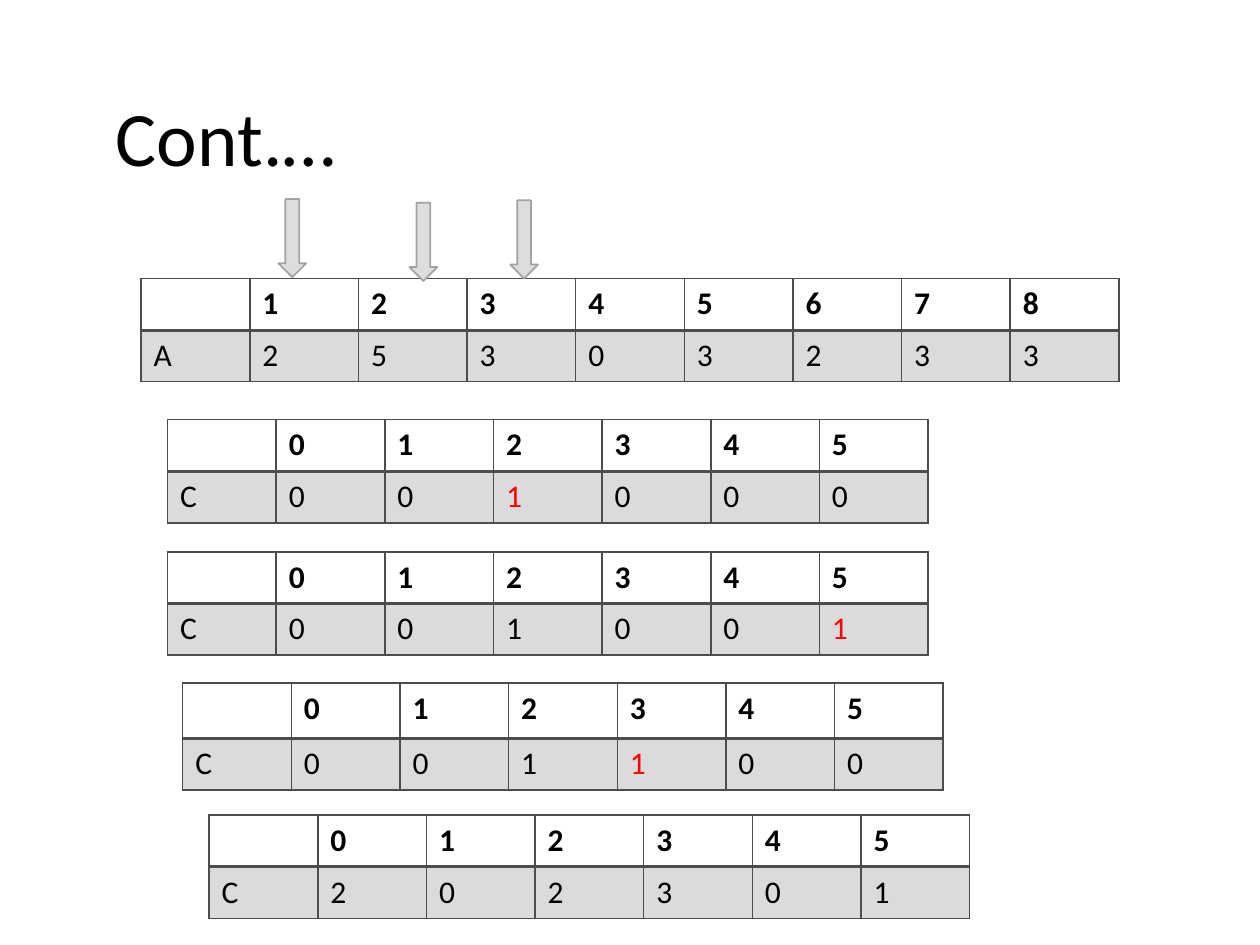
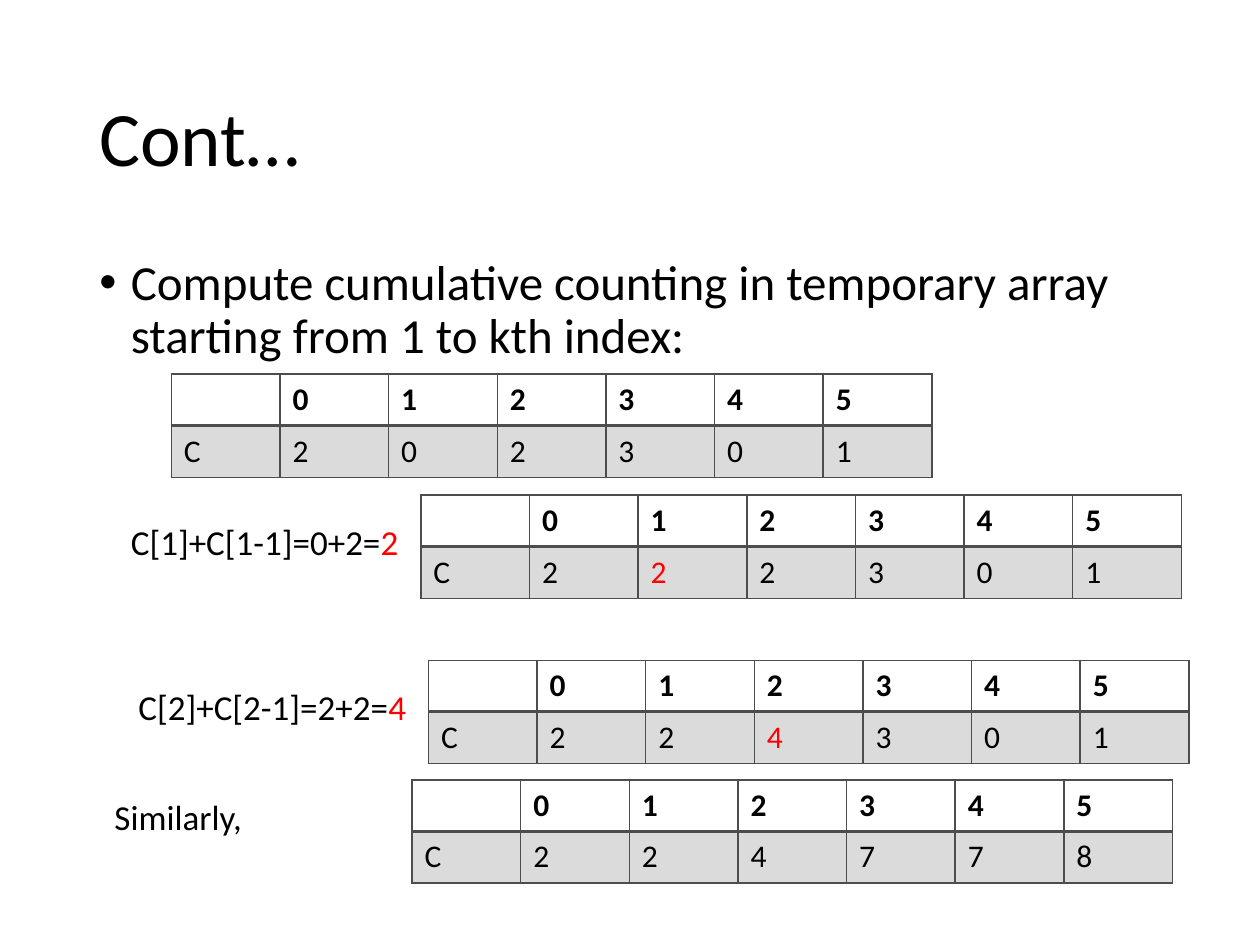
from lxml import etree
from pptx import Presentation
from pptx.dml.color import RGBColor
from pptx.enum import shapes, text
from pptx.oxml.ns import qn
from pptx.util import Inches, Pt

BLACK = RGBColor(0, 0, 0)
RED = RGBColor(255, 0, 0)
GRID = RGBColor(0x4D, 0x4D, 0x4D)
BAND = RGBColor(0xDB, 0xDB, 0xDB)
ARROW = RGBColor(0xDD, 0xDD, 0xDD)
EDGE = RGBColor(0xA3, 0xA3, 0xA3)
FONT = "Calibri"
COL, ROW = 0.8625, 0.41

# name, first index, values, marked position, left, top, header height
PAGES = [
    {
        "title": "Cont.…",
        "inset": 0.23,
        "tables": [
            ("A", 1, "25303233", None, 1.12, 2.21, ROW),
            ("C", 0, "001000", 2, 1.33, 3.33, ROW),
            ("C", 0, "001001", 5, 1.33, 4.38, ROW),
            ("C", 0, "001100", 3, 1.45, 5.42, 0.44),
            ("C", 0, "202301", None, 1.66, 6.47, ROW),
        ],
        "arrows": [(2.21, 1.58), (3.25, 1.61), (4.05, 1.59)],
        "body": [],
    },
    {
        "title": "Cont…",
        "inset": 0.1,
        "tables": [
            ("C", 0, "202301", None, 1.36, 2.97, ROW),
            ("C", 0, "222301", 1, 3.34, 3.93, ROW),
            ("C", 0, "224301", 2, 3.4, 5.24, ROW),
            ("C", 0, "224778", None, 3.27, 6.19, ROW),
        ],
        "arrows": [],
        # plain text, red text, size, indent, space before, bullet
        "body": [
            ("Compute cumulative counting in temporary array starting from 1 to kth index:",
             "", 28, 0.25, 0, True),
            ("C[1]+C[1-1]=0+2=", "2", 20, 0.25, 92, False),
            ("C[2]+C[2-1]=2+2=", "4", 20, 0.31, 73, False),
            ("Similarly,", "", 20, 0.12, 41, False),
        ],
    },
]


def style(par, size, color=BLACK, bold=False):
    font = par.font
    font.name, font.size, font.bold = FONT, Pt(size), bold
    font.color.rgb = color


def add_box(slide, top, height):
    box = slide.shapes.add_textbox(Inches(0.69), Inches(top), Inches(8.62), Inches(height))
    box.text_frame.word_wrap = True
    return box.text_frame


def add_title(slide, words, inset):
    frame = add_box(slide, 0.4, 1.45)
    frame.margin_left = Inches(inset)
    frame.vertical_anchor = text.MSO_ANCHOR.MIDDLE
    par = frame.paragraphs[0]
    par.text = words
    par.line_spacing = 0.9
    style(par, 44)


def add_body(slide, lines):
    frame = add_box(slide, 2, 4.76)
    for i, (plain, red, size, left, gap, dot) in enumerate(lines):
        par = frame.add_paragraph() if i else frame.paragraphs[0]
        par.line_spacing = 0.9
        par.space_before = Pt(gap)
        props = par._p.get_or_add_pPr()
        props.set("marL", str(Inches(left)))
        if dot:
            props.set("indent", str(-Inches(left)))
            etree.SubElement(props, qn("a:buFont"), typeface="Arial")
            etree.SubElement(props, qn("a:buChar"), char="•")
        style(par, size)
        par.add_run().text = plain
        if red:
            run = par.add_run()
            run.text = red
            run.font.color.rgb = RED


def add_edges(cell, head):
    props = cell._tc.get_or_add_tcPr()
    thick = "B" if head else "T"
    for side in "LRTB":
        line = etree.SubElement(props, qn(f"a:ln{side}"), w=str(Pt(2 if side == thick else 1)))
        fill = etree.SubElement(line, qn("a:solidFill"))
        etree.SubElement(fill, qn("a:srgbClr"), val=str(GRID))


def add_array(slide, name, first, values, mark, left, top, head):
    rows = [["", *(str(first + i) for i in range(len(values)))], [name, *values]]
    count = len(rows[0])
    table = slide.shapes.add_table(2, count, Inches(left), Inches(top),
                                   Inches(COL * count), Inches(head + ROW)).table
    table.first_row = table.horz_banding = False
    for row, height in zip(table.rows, (head, ROW)):
        row.height = Inches(height)
    for col in table.columns:
        col.width = Inches(COL)
    for r, row in enumerate(rows):
        for c, word in enumerate(row):
            cell = table.cell(r, c)
            add_edges(cell, r == 0)
            if r:
                cell.fill.solid()
                cell.fill.fore_color.rgb = BAND
            else:
                cell.fill.background()
            par = cell.text_frame.paragraphs[0]
            par.text = word
            hit = r == 1 and mark is not None and c == mark + 1
            style(par, 18, RED if hit else BLACK, r == 0)


def add_arrow(slide, left, top):
    arrow = slide.shapes.add_shape(shapes.MSO_SHAPE.DOWN_ARROW, Inches(left), Inches(top),
                                   Inches(0.22), Inches(0.62))
    arrow.shadow.inherit = False
    arrow.fill.solid()
    arrow.fill.fore_color.rgb = ARROW
    arrow.line.color.rgb = EDGE
    arrow.line.width = Pt(1)


def main():
    deck = Presentation()
    deck.slide_width, deck.slide_height = Inches(10), Inches(7.5)
    for page in PAGES:
        slide = deck.slides.add_slide(deck.slide_layouts[6])
        add_title(slide, page["title"], page["inset"])
        if page["body"]:
            add_body(slide, page["body"])
        for array in page["tables"]:
            add_array(slide, *array)
        for spot in page["arrows"]:
            add_arrow(slide, *spot)
    deck.save("out.pptx")


if __name__ == "__main__":
    main()
